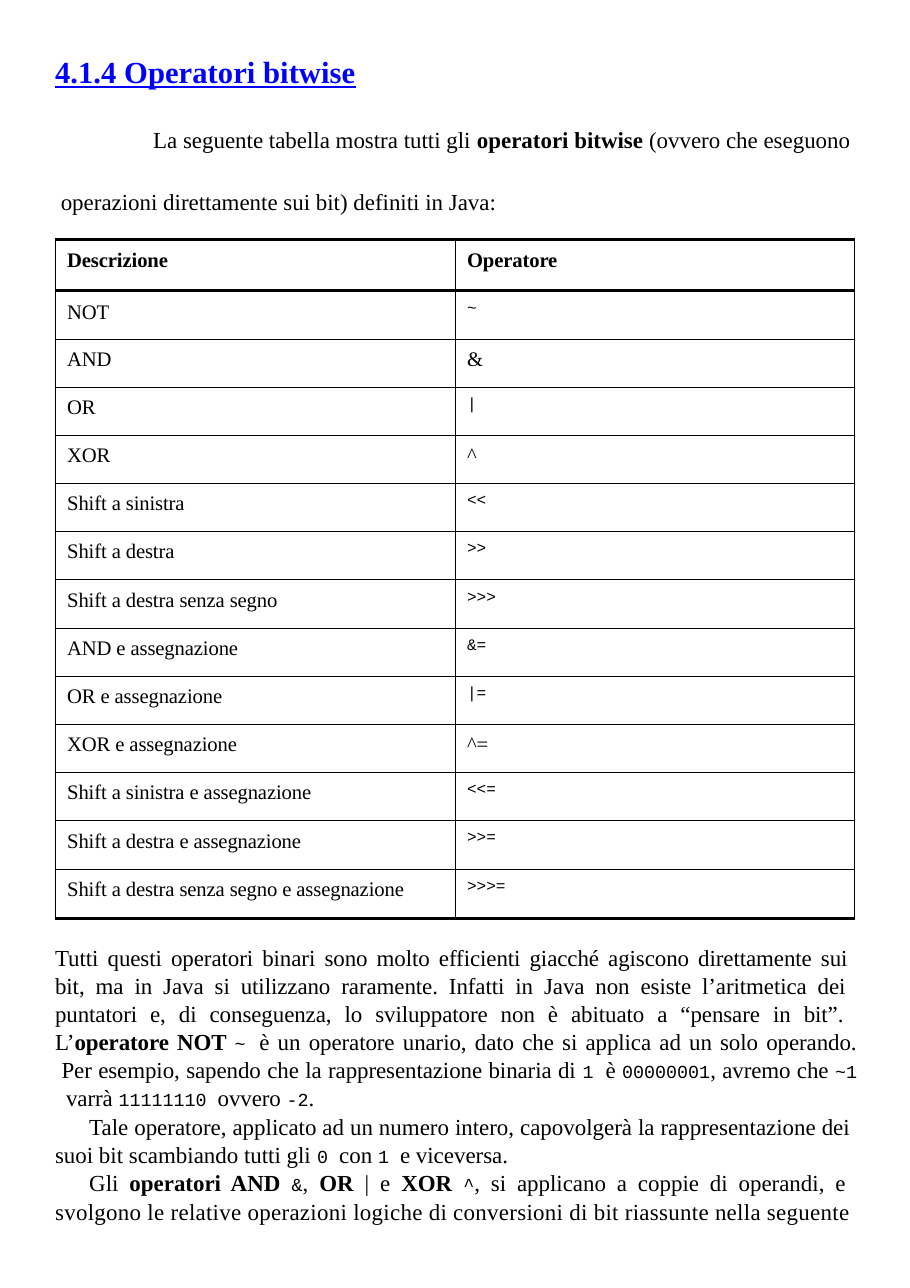
from copy import deepcopy

from pptx import Presentation
from pptx.dml.color import RGBColor
from pptx.enum.text import MSO_ANCHOR, PP_ALIGN
from pptx.oxml import parse_xml
from pptx.oxml.ns import nsdecls
from pptx.util import Inches, Pt

TOP = MSO_ANCHOR.TOP
LEFT, JUST = PP_ALIGN.LEFT, PP_ALIGN.JUSTIFY


class Theme:
    ink = "000000"
    link = "0000FF"
    serif = "Times New Roman"
    mono = "Courier New"
    title, body, cell = 20, 15, 13.5
    ratio = {15: 12, 13.5: 10.5}
    thin, thick = 0.75, 2.25


# Asterisks mark bold text, backticks mark code.
TITLE = "4.1.4 Operatori bitwise"
INTRO = ("La seguente tabella mostra tutti gli *operatori bitwise *(ovvero che eseguono\n"
         " operazioni direttamente sui bit) definiti in Java:")
ROWS = [
    ("*Descrizione*", "*Operatore*"),
    ("NOT", "`~`"),
    ("AND", "&"),
    ("OR", "`|`"),
    ("XOR", "^"),
    ("Shift a sinistra", "`<<`"),
    ("Shift a destra", "`>>`"),
    ("Shift a destra senza segno", "`>>>`"),
    ("AND e assegnazione", "`&=`"),
    ("OR e assegnazione", "`|=`"),
    ("XOR e assegnazione", "^="),
    ("Shift a sinistra e assegnazione", "`<<=`"),
    ("Shift a destra e assegnazione", "`>>=`"),
    ("Shift a destra senza segno e assegnazione", "`>>>=`"),
]
NOTES = [
    ("Tutti questi operatori binari sono molto efficienti giacché agiscono direttamente sui \n"
     "bit, ma in Java si utilizzano raramente. Infatti in Java non esiste l’aritmetica dei \n"
     "puntatori e, di conseguenza, lo sviluppatore non è abituato a “pensare in bit”. \n"
     "L’*operatore NOT *`~ `è un operatore unario, dato che si applica ad un solo operando.\n"
     " Per esempio, sapendo che la rappresentazione binaria di `1 `è `00000001`, avremo che "
     "`~1\n `varrà `11111110 `ovvero `-2`.", dict(line=1.02, track=-5)),
    ("Tale operatore, applicato ad un numero intero, capovolgerà la rappresentazione dei \n"
     "suoi bit scambiando tutti gli `0 `con `1 `e viceversa.", dict(indent=0.31, before=0.8)),
    ("Gli *operatori AND *`&`, *OR *| e *XOR *`^`, si applicano a coppie di operandi, e \n"
     "svolgono le relative operazioni logiche di conversioni di bit riassunte nella seguente",
     dict(indent=0.31, line=1.04, last=19)),
]


def write(para, text, size=Theme.body, color=Theme.ink, bold=False, under=False,
          align=LEFT, margin=0.01, indent=0, line=None, before=0, track=0, last=None):
    props = para._p.get_or_add_pPr()
    props.set("marL", str(Inches(margin)))
    props.set("indent", str(Inches(indent)))
    para.alignment = align
    para.space_before = Pt(before)
    if line:
        para.line_spacing = line
    for i, part in enumerate(text.split("`")):
        code = i % 2 == 1
        for j, piece in enumerate(part.split("*")):
            for k, words in enumerate(piece.split("\n")):
                if k:
                    para.add_line_break()
                    para._p[-1].append(deepcopy(look))
                    if last is not None:
                        track = last
                if not words:
                    continue
                run = para.add_run()
                run.text = words
                font = run.font
                font.name = Theme.mono if code else Theme.serif
                font.size = Pt(Theme.ratio[size] if code else size)
                font.bold = bold or j % 2 == 1
                font.underline = under
                font.color.rgb = RGBColor.from_string(color)
                look = run._r.get_or_add_rPr()
                if not code:
                    look.set("spc", str(track))


def add_box(slide, left, top, width, height, inset, items):
    box = slide.shapes.add_textbox(*map(Inches, (left, top, width, height)))
    frame = box.text_frame
    frame.word_wrap = True
    frame.margin_left = frame.margin_right = frame.margin_bottom = 0
    frame.margin_top = Inches(inset)
    for i, (text, style) in enumerate(items):
        para = frame.add_paragraph() if i else frame.paragraphs[0]
        write(para, text, **style)


def set_edges(cell, above, below):
    props = cell._tc.get_or_add_tcPr()
    sides = [("L", Theme.thin), ("R", Theme.thin), ("T", above), ("B", below)]
    for i, (side, width) in enumerate(sides):
        props.insert(i, parse_xml(
            f'<a:ln{side} {nsdecls("a")} w="{Pt(width)}"><a:solidFill>'
            f'<a:srgbClr val="{Theme.ink}"/></a:solidFill></a:ln{side}>'))


def add_grid(slide, left, top, width, height, head, foot):
    count = len(ROWS)
    frame = slide.shapes.add_table(count, 2, *map(Inches, (left, top, width, height)))
    table = frame.table
    table.first_row = table.horz_banding = False
    inner = count - 2
    tall = [head] + [(height - head - foot) / inner] * inner + [foot]
    edges = [Theme.thick] * 2 + [Theme.thin] * inner + [Theme.thick]
    for r, texts in enumerate(ROWS):
        table.rows[r].height = Inches(tall[r])
        for c, text in enumerate(texts):
            cell = table.cell(r, c)
            cell.margin_left = cell.margin_right = cell.margin_bottom = 0
            cell.margin_top = Inches(0.08 if r > 1 else 0.09)
            cell.vertical_anchor = TOP
            cell.fill.background()
            set_edges(cell, edges[r], edges[r + 1])
            write(cell.text_frame.paragraphs[0], text, size=Theme.cell, margin=0.11,
                  track=-5)


def main():
    deck = Presentation()
    deck.slide_width, deck.slide_height = Inches(8.26), Inches(11.69)
    slide = deck.slides.add_slide(deck.slide_layouts[6])
    left, wide = 0.49, 7.29
    add_grid(slide, 0.5, 2.17, 7.26, 6.17, 0.47, 0.45)
    add_box(slide, left, 0.46, wide, 1.51, 0.02, [
        (TITLE, dict(size=Theme.title, color=Theme.link, bold=True, under=True, track=3)),
        (INTRO, dict(indent=0.89, line=2.25, before=1.2)),
    ])
    add_box(slide, left, 8.55, wide, 2.58, 0.01,
            [(text, dict(style, align=JUST)) for text, style in NOTES])
    deck.save("out.pptx")


if __name__ == "__main__":
    main()
